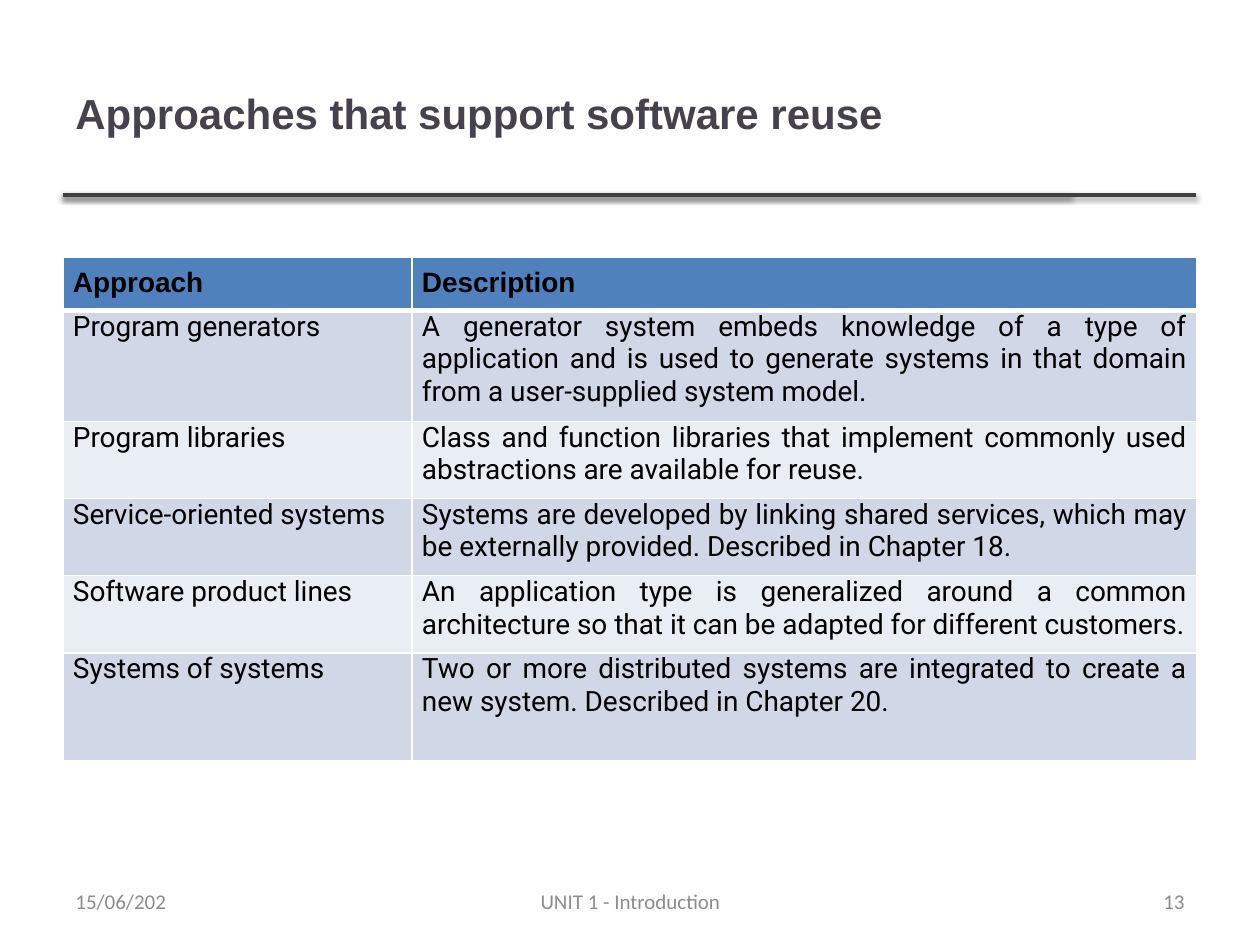
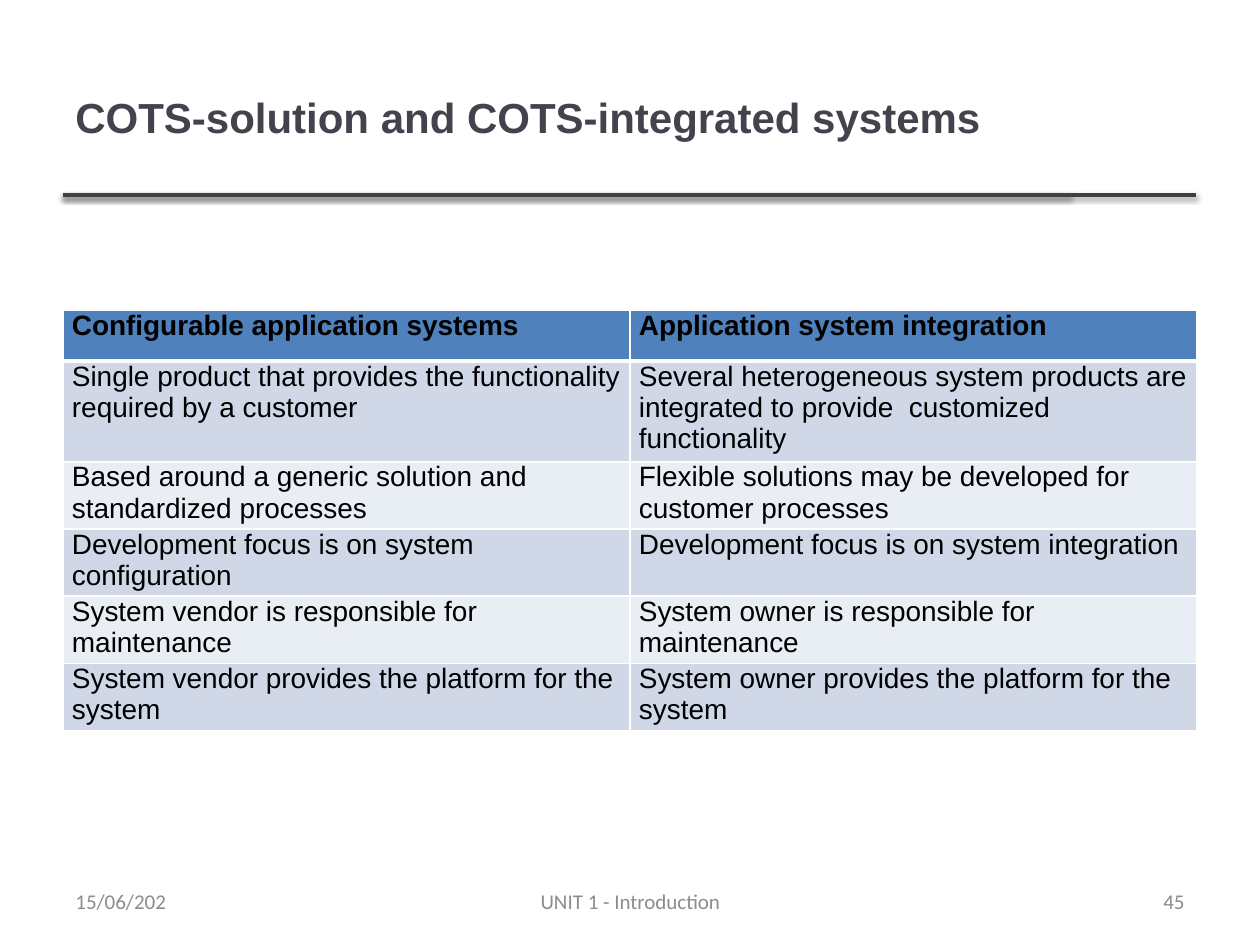
from lxml.etree import SubElement
from pptx import Presentation
from pptx.dml.color import RGBColor
from pptx.enum.shapes import MSO_CONNECTOR
from pptx.enum.text import MSO_ANCHOR, PP_ALIGN
from pptx.oxml import parse_xml
from pptx.oxml.ns import nsdecls, qn
from pptx.util import Pt

PX = 914400 // 126
TITLE_INK = RGBColor(0x46, 0x42, 0x4D)
FOOTER_INK = RGBColor(0x8C, 0x8C, 0x8C)
RULE_INK = RGBColor(0x40, 0x40, 0x40)
BLACK = RGBColor(0x00, 0x00, 0x00)
WHITE = RGBColor(0xFF, 0xFF, 0xFF)
HEADER_BLUE = RGBColor(0x4F, 0x81, 0xBD)
BANDS = [RGBColor(0xE9, 0xED, 0xF4), RGBColor(0xD0, 0xD8, 0xE8)]

LEFT, WIDTH = 63, 1134
FOOTER_TOP, FOOTER_HEIGHT = 876, 50
RULE_TOP = 195
RULE_ENDS = [1070, 1196]
RULE_SHADOW = (
    f'<a:effectLst {nsdecls("a")}><a:outerShdw blurRad="39370" dist="20320" dir="5400000" '
    'rotWithShape="0"><a:srgbClr val="000000"><a:alpha val="38000"/></a:srgbClr>'
    '</a:outerShdw></a:effectLst>'
)

SLIDES = [
    {
        "title": "Approaches that support software reuse",
        "title_top": 34,
        "number": "13",
        "table_top": 257,
        "columns": [349, 785],
        "heights": [50, 108, 75, 75, 75, 108],
        "side_inset": 10,
        "header_insets": (10, 10),
        "body_insets": (0, 10),
        "body_font": "Roboto",
        "body_aligns": [PP_ALIGN.LEFT, PP_ALIGN.JUSTIFY],
        "spacing": (0, 0),
        "rows": [
            ("Approach", "Description"),
            ("Program generators",
             "A generator system embeds knowledge of a type of application and is used to "
             "generate systems in that domain from a user-supplied system model."),
            ("Program libraries",
             "Class and function libraries that implement commonly used abstractions are "
             "available for reuse."),
            ("Service-oriented systems",
             "Systems are developed by linking shared services, which may be externally "
             "provided. Described in Chapter 18."),
            ("Software product lines",
             "An application type is generalized around a common architecture so that it can "
             "be adapted for different customers."),
            ("Systems of systems",
             "Two or more distributed systems are integrated to create a new system. "
             "Described in Chapter 20."),
        ],
    },
    {
        "title": "COTS-solution and COTS-integrated systems",
        "title_top": 38,
        "number": "45",
        "table_top": 310,
        "columns": [567, 567],
        "heights": [51, 94, 62, 62, 62, 62],
        "side_inset": 9,
        "header_insets": (0, 0),
        "body_insets": (0, 0),
        "body_font": "Arial",
        "body_aligns": [PP_ALIGN.LEFT, PP_ALIGN.LEFT],
        "spacing": (3, 6),
        "rows": [
            ("Configurable application systems", "Application system integration"),
            ("Single product that provides the functionality required by a customer",
             "Several heterogeneous system products are integrated to provide  customized "
             "functionality"),
            ("Based around a generic solution and standardized processes",
             "Flexible solutions may be developed for customer processes"),
            ("Development focus is on system configuration",
             "Development focus is on system integration"),
            ("System vendor is responsible for maintenance",
             "System owner is responsible for maintenance"),
            ("System vendor provides the platform for the system",
             "System owner provides the platform for the system"),
        ],
    },
]


def write(frame, text, font, size, color, bold=False, align=PP_ALIGN.LEFT):
    paragraph = frame.paragraphs[0]
    paragraph.alignment = align
    run = paragraph.add_run()
    run.text = text
    run.font.name = font
    run.font.size = Pt(size)
    run.font.bold = bold
    run.font.color.rgb = color
    return paragraph


def add_label(slide, left, top, width, height, text, font, size, color, **style):
    label = slide.shapes.add_textbox(left * PX, top * PX, width * PX, height * PX)
    frame = label.text_frame
    frame.word_wrap = True
    frame.vertical_anchor = MSO_ANCHOR.MIDDLE
    write(frame, text, font, size, color, **style)


prs = Presentation()
prs.slide_width = 1260 * PX
prs.slide_height = 945 * PX

for content in SLIDES:
    slide = prs.slides.add_slide(prs.slide_layouts[6])

    for rule_end in RULE_ENDS:
        rule = slide.shapes.add_connector(
            MSO_CONNECTOR.STRAIGHT, LEFT * PX, RULE_TOP * PX, rule_end * PX, RULE_TOP * PX)
        rule.line.color.rgb = RULE_INK
        rule.line.width = Pt(2)
        rule._element.spPr.append(parse_xml(RULE_SHADOW))

    add_label(slide, LEFT, content["title_top"], WIDTH, 158, content["title"],
              "Arial", 24, TITLE_INK, bold=True)

    rows = content["rows"]
    comparison = slide.shapes.add_table(
        len(rows), 2, LEFT * PX, content["table_top"] * PX,
        WIDTH * PX, sum(content["heights"]) * PX).table
    for column, width in zip(comparison.columns, content["columns"]):
        column.width = width * PX

    for r, row in enumerate(rows):
        comparison.rows[r].height = content["heights"][r] * PX
        header = r == 0
        top_inset, bottom_inset = content["header_insets" if header else "body_insets"]
        space_before, space_after = content["spacing"]
        for c, text in enumerate(row):
            cell = comparison.cell(r, c)
            cell.margin_left = cell.margin_right = content["side_inset"] * PX
            cell.margin_top = top_inset * PX
            cell.margin_bottom = bottom_inset * PX
            paragraph = write(
                cell.text_frame, text, "Arial" if header else content["body_font"], 16, BLACK,
                bold=header, align=PP_ALIGN.JUSTIFY if header else content["body_aligns"][c])
            paragraph.space_before = Pt(space_before if r < 2 else 0)
            paragraph.space_after = Pt(space_before if header else space_after)

            borders = {"lnL": 1, "lnR": 1, "lnT": 3 if r == 1 else 1, "lnB": 3 if header else 1}
            properties = cell._tc.get_or_add_tcPr()
            for side, weight in borders.items():
                border = SubElement(properties, qn(f"a:{side}"), w=str(Pt(weight)))
                border_fill = SubElement(border, qn("a:solidFill"))
                SubElement(border_fill, qn("a:srgbClr"), val=str(WHITE))
            cell.fill.solid()
            cell.fill.fore_color.rgb = HEADER_BLUE if header else BANDS[r % 2]

    for left, width, text, align in [
        (LEFT, 294, "15/06/202", PP_ALIGN.LEFT),
        (431, 399, "UNIT 1 - Introduction", PP_ALIGN.CENTER),
        (903, 294, content["number"], PP_ALIGN.RIGHT),
    ]:
        add_label(slide, left, FOOTER_TOP, width, FOOTER_HEIGHT, text,
                  "Calibri", 12, FOOTER_INK, align=align)

prs.save("out.pptx")
